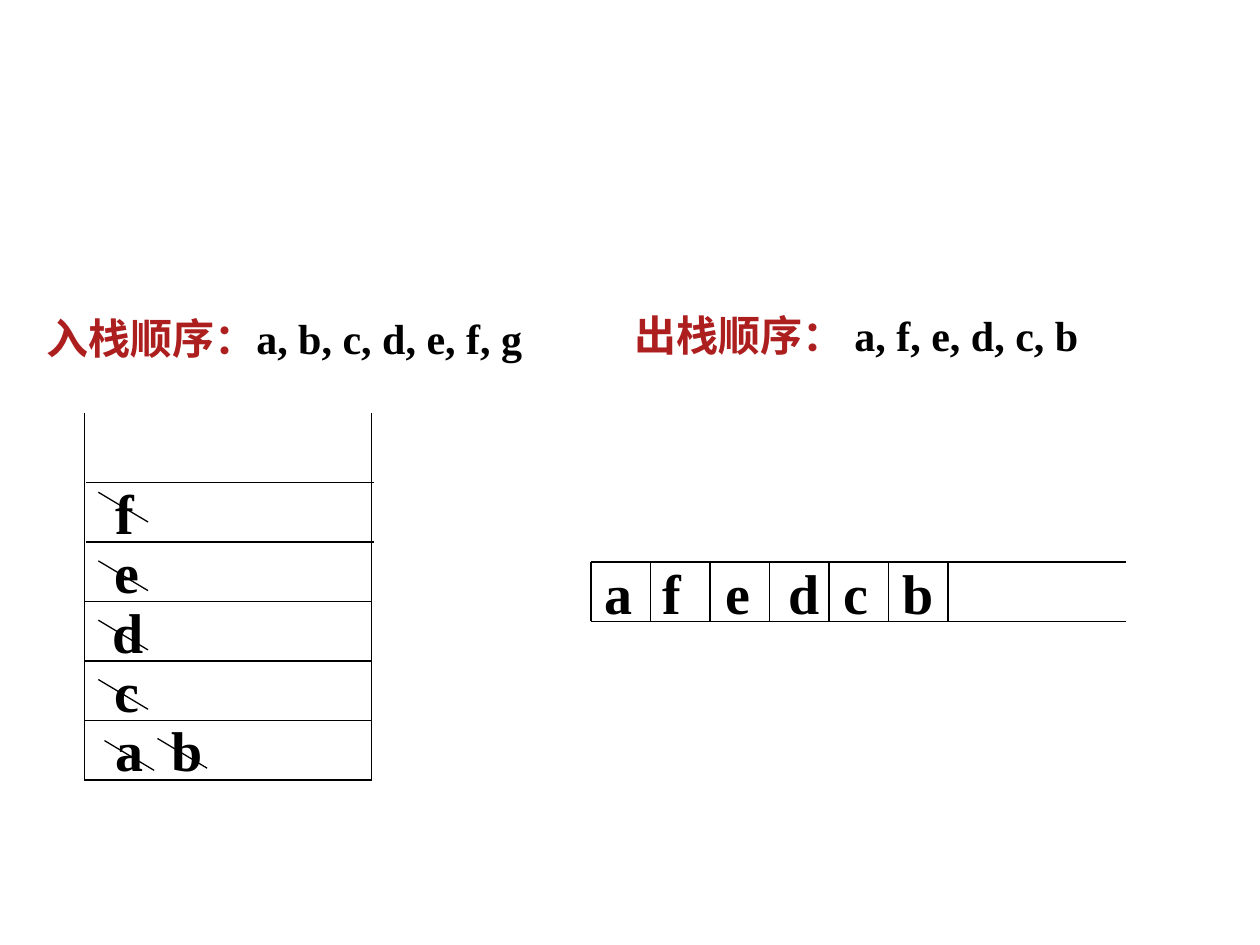
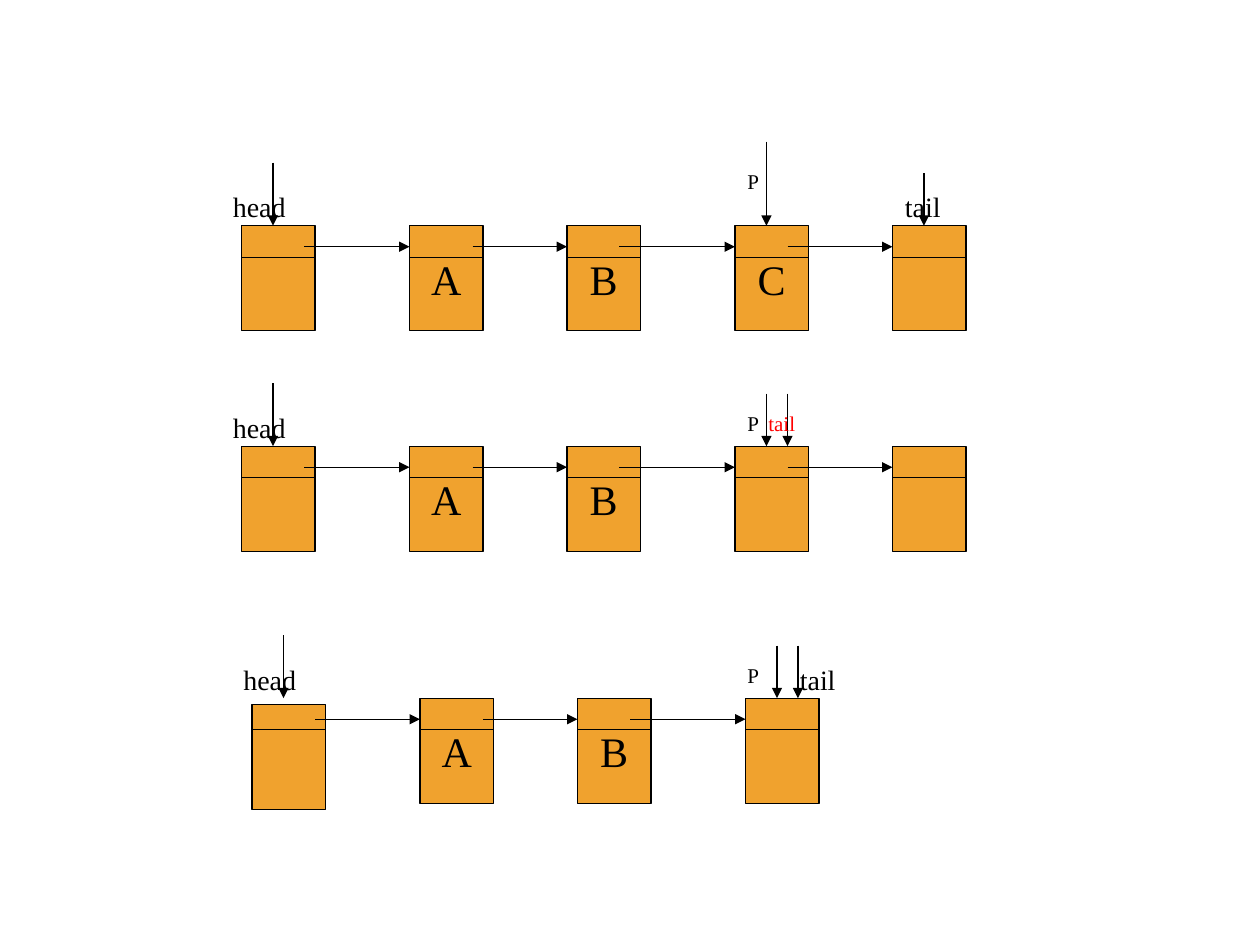
from lxml import etree
from pptx import Presentation
from pptx.dml.color import RGBColor
from pptx.enum import shapes, text
from pptx.oxml import ns
from pptx.util import Pt

COLORS = {"ink": "000000", "heading": "AD1F1F", "node": "F0A22E", "alert": "FF0000"}
FONT = "Times New Roman"
LINE_WIDTH = Pt(0.74)


def add_line(slide, x1, y1, x2, y2, arrow=False):
    """Draw a thin black line, with an arrowhead at its end if wanted."""
    line = slide.shapes.add_connector(
        shapes.MSO_CONNECTOR.STRAIGHT, Pt(x1), Pt(y1), Pt(x2), Pt(y2))
    line.line.color.rgb = RGBColor.from_string(COLORS["ink"])
    line.line.width = LINE_WIDTH
    if arrow:
        etree.SubElement(line.line._get_or_add_ln(), ns.qn("a:tailEnd"), type="triangle")
    etree.SubElement(line._element.spPr, ns.qn("a:effectLst"))


def add_label(slide, x, y, width, height, runs, size, bold=False, wrap=False, before=0):
    """Add a one-line text box from (text, colour name) runs."""
    box = slide.shapes.add_textbox(Pt(x), Pt(y), Pt(width), Pt(height))
    frame = box.text_frame
    frame.word_wrap = wrap
    frame.auto_size = text.MSO_AUTO_SIZE.SHAPE_TO_FIT_TEXT
    paragraph = frame.paragraphs[0]
    paragraph.space_before = Pt(before)
    paragraph.font.name = FONT
    paragraph.font.size = Pt(size)
    paragraph.font.bold = bold
    for words, color in runs:
        run = paragraph.add_run()
        run.text = words
        run.font.color.rgb = RGBColor.from_string(COLORS[color])


prs = Presentation()
prs.slide_width, prs.slide_height = Pt(720), Pt(540)
blank = prs.slide_layouts[6]

# Slide 1: push order on a stack, pop order in a queue
slide = prs.slides.add_slide(blank)
CELL = 34

for x, y, width, heading, order in [
    (19.4, 175, 292.3, "入栈顺序：", "a, b, c, d, e, f, g"),
    (355.7, 173.5, 274.3, "出栈顺序： ", "a, f, e, d, c, b"),
]:
    add_label(slide, x, y, width, 36, [(heading, "heading"), (order, "ink")], 24, bold=True)

stack_left, stack_right, stack_top, stack_bottom = 48.2, 212.5, 236.2, 445.7
for x in (stack_left, stack_right):
    add_line(slide, x, stack_top, x, stack_bottom)
for level in range(6):
    y = stack_bottom - level * CELL
    shift = 1 if level > 3 else 0
    add_line(slide, stack_left + shift, y, stack_right + shift, y)

queue_left, queue_right, queue_top = 337.7, 643.7, 321.1
for y in (queue_top, queue_top + CELL):
    add_line(slide, queue_left, y, queue_right, y)
for cell in range(7):
    x = queue_left + cell * CELL
    add_line(slide, x, queue_top, x, queue_top + CELL)

letter_widths = {"a": 30.2, "b": 32.4, "c": 28.8, "d": 32.4, "e": 28.8, "f": 25.2}
stack_letters = [("f", 59, 270), ("e", 58.3, 303.4), ("d", 57, 337.7),
                 ("c", 58.3, 371.5), ("a", 59, 405.4), ("b", 90.9, 405.4)]
queue_letters = [(letter, x, 315.4) for letter, x in zip(
    "afedcb", (338.4, 371.5, 407.5, 443.5, 475.2, 508.5))]
for letter, x, y in stack_letters + queue_letters:
    add_label(slide, x, y, letter_widths[letter], 46, [(letter, "ink")], 32, bold=True)

popped_marks = [(56.2, 281.3), (56.2, 320.5), (56.2, 354.4), (56.2, 388.3),
                (59.7, 423.2), (90, 422)]
for x, y in popped_marks:
    add_line(slide, x, y, x + 28.4, y + 17)

# Slide 2: a linked list before, during and after removing its last node
slide = prs.slides.add_slide(blank)
NODE_WIDTH, NODE_HEIGHT = 42, 60
node_lefts = [138, 234, 324, 420, 510]
link_offsets = [36, 36, 30, 30]

# Pointer: (arrow x, arrow length); name: (words, x, rise, width, size, colour)
list_states = [
    dict(top=129, shift=0, head_drop=0, values=["", "A", "B", "C", ""],
         pointers=[(156, 36), (438, 48), (528, 30)],
         names=[("head", 126, 24, 60, 16, "ink"), ("P", 420, 36, 36, 12, "ink"),
                ("tail", 510, 24, 54, 16, "ink")]),
    dict(top=255, shift=0, head_drop=0, values=["", "A", "B", "", ""],
         pointers=[(156, 36), (438, 30), (450, 30)],
         names=[("head", 126, 24, 60, 16, "ink"), ("P", 420, 24, 36, 12, "ink"),
                ("tail", 432, 24, 54, 12, "alert")]),
    dict(top=399, shift=6, head_drop=3.5, values=["", "A", "B", ""],
         pointers=[(162, 36), (444, 30), (456, 30)],
         names=[("head", 132, 24, 60, 16, "ink"), ("P", 420, 24, 36, 12, "ink"),
                ("tail", 450, 24, 48, 16, "ink")]),
]

for state in list_states:
    top = state["top"]
    lefts = [left + state["shift"] for left in node_lefts[:len(state["values"])]]
    for index, (left, value) in enumerate(zip(lefts, state["values"])):
        drop = state["head_drop"] if index == 0 else 0
        node = slide.shapes.add_shape(
            shapes.MSO_SHAPE.RECTANGLE, Pt(left), Pt(top + drop),
            Pt(NODE_WIDTH), Pt(NODE_HEIGHT))
        node.shadow.inherit = False
        node.fill.solid()
        node.fill.fore_color.rgb = RGBColor.from_string(COLORS["node"])
        node.line.color.rgb = RGBColor.from_string(COLORS["ink"])
        node.line.width = LINE_WIDTH
        if value:
            node.text_frame.word_wrap = False
            paragraph = node.text_frame.paragraphs[0]
            paragraph.text = value
            paragraph.alignment = text.PP_ALIGN.CENTER
            paragraph.font.name = FONT
            paragraph.font.size = Pt(24)
            paragraph.font.color.rgb = RGBColor.from_string(COLORS["ink"])
        add_line(slide, left, top + 18, left + NODE_WIDTH, top + 18)

    for left, following, offset in zip(lefts, lefts[1:], link_offsets):
        add_line(slide, left + offset, top + 12, following, top + 12, arrow=True)
    for x, length in state["pointers"]:
        add_line(slide, x, top - length, x, top, arrow=True)
    for words, x, rise, width, size, color in state["names"]:
        add_label(slide, x, top - rise, width, 26.6 if size == 16 else 21.6,
                  [(words, color)], size, wrap=True, before=size * 0.625)

prs.save("out.pptx")
